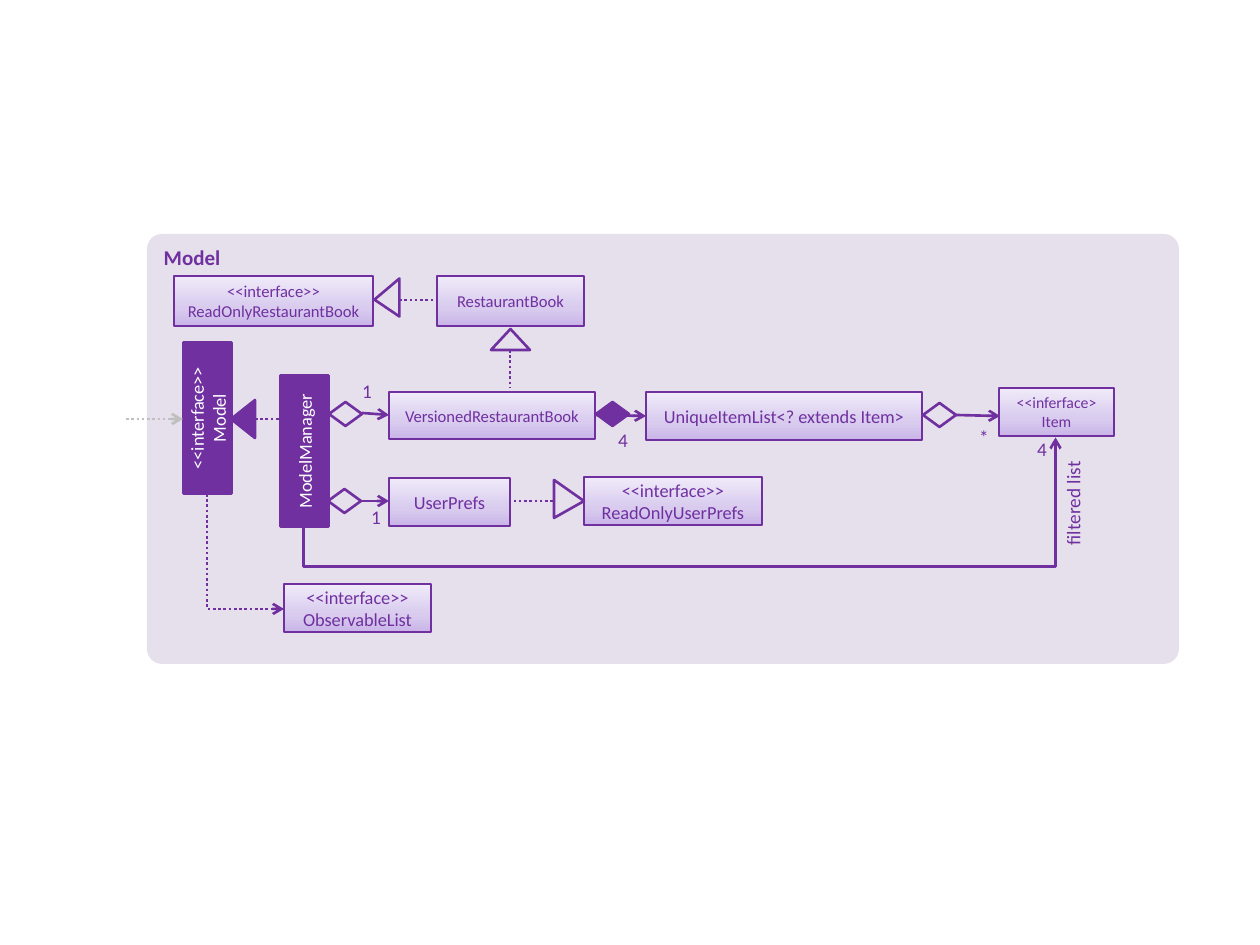
from copy import deepcopy
from dataclasses import dataclass

from lxml import etree
from pptx import Presentation
from pptx import util as u
from pptx.dml.color import RGBColor
from pptx.enum import dml, shapes, text
from pptx.oxml.ns import qn

SCALE = 914400 / 126
KIND = shapes.MSO_SHAPE
LINK = shapes.MSO_CONNECTOR
ALIGN = text.PP_ALIGN
MID = text.MSO_ANCHOR.MIDDLE
TIGHT = dict(margin_left=0, margin_right=0, margin_top=0, margin_bottom=0)


@dataclass(frozen=True)
class Theme:
    """Colours and type sizes of the diagram."""
    font: str = "Calibri"
    ink: str = "7030A0"
    panel: str = "E6E0EC"
    white: str = "FFFFFF"
    grey: str = "BFBFBF"
    fade: tuple = ((0, "C9B5E8"), (0.35, "D8CBEE"), (1, "F0EAF9"))
    line: float = 1.5
    title: float = 12
    label: float = 11
    body: float = 10.5
    small: float = 9.5
    tiny: float = 9


T = Theme()


def px(*vals):
    """Turn pixels into EMU."""
    return [u.Emu(round(v * SCALE)) for v in vals]


def rgb(code):
    """Give a colour from its hex code."""
    return RGBColor.from_string(code)


def put(item, vals):
    """Set each format value on an item."""
    for key, val in vals.items():
        setattr(item, key, val)


def write(shape, words, size, color=T.ink, align=ALIGN.CENTER, bold=False, **frame):
    """Write styled text into a shape."""
    tf = shape.text_frame
    put(tf, dict(word_wrap=True, **frame))
    tf.text = words
    for para in tf.paragraphs:
        para.alignment = align
        for run in para.runs:
            put(run.font, dict(name=T.font, size=u.Pt(size), bold=bold))
            run.font.color.rgb = rgb(color)


def stroke(line, color=T.ink):
    """Give a line its colour and width."""
    line.color.rgb = rgb(color)
    line.width = u.Pt(T.line)


def form(slide, kind, box, fill=None, edge=True, rot=0, adj=None):
    """Add a preset shape with a plain fill or none."""
    shape = slide.shapes.add_shape(kind, *px(*box))
    shape.shadow.inherit = False
    shape.rotation = rot
    if adj is not None:
        shape.adjustments[0] = adj
    if fill:
        shape.fill.solid()
        shape.fill.fore_color.rgb = rgb(fill)
    else:
        shape.fill.background()
    if edge:
        stroke(shape.line)
    else:
        shape.line.fill.background()
    return shape


def shade(shape):
    """Fill a shape with the three-stop fade, dark at the foot."""
    shape.fill.gradient()
    shape.fill.gradient_angle = 90
    stops = shape._element.spPr.find(".//" + qn("a:gsLst"))
    stops.append(deepcopy(stops[0]))
    for stop, (pos, code) in zip(shape.fill.gradient_stops, T.fade):
        stop.position = pos
        stop.color.rgb = rgb(code)


def node(slide, words, box, size=T.body):
    """Add a shaded class box."""
    shape = form(slide, KIND.RECTANGLE, box)
    shade(shape)
    write(shape, words, size, vertical_anchor=MID, **TIGHT)


def tower(slide, words, box):
    """Add a dark class box turned upright."""
    shape = form(slide, KIND.RECTANGLE, box, T.ink, rot=270)
    write(shape, words, T.body, T.white, vertical_anchor=MID, **TIGHT)


def label(slide, words, box, rot=0, align=ALIGN.CENTER, **frame):
    """Add a free label."""
    shape = slide.shapes.add_textbox(*px(*box))
    shape.rotation = rot
    write(shape, words, T.label, align=align, **frame)


def link(slide, ends, arrow=True, dots=False, color=T.ink, kind=LINK.STRAIGHT):
    """Add a connector, with an open arrowhead or dots if asked."""
    wire = slide.shapes.add_connector(kind, *px(*ends))
    stroke(wire.line, color)
    if dots:
        wire.line.dash_style = dml.MSO_LINE.ROUND_DOT
    props = wire._element.spPr
    if arrow:
        etree.SubElement(props.find(qn("a:ln")), qn("a:tailEnd"), type="arrow")
    etree.SubElement(props, qn("a:effectLst"))
    return wire


def bend(slide, ends, rot, preset, adj=None, dots=False):
    """Add a turned elbow arrow; ends are those before turning."""
    wire = link(slide, ends, dots=dots, kind=LINK.ELBOW)
    props = wire._element.spPr
    props.find(qn("a:xfrm")).set("rot", str(rot * 60000))
    geom = props.find(qn("a:prstGeom"))
    geom.set("prst", preset)
    if adj is not None:
        guides = geom.find(qn("a:avLst"))
        if guides is None:
            guides = etree.SubElement(geom, qn("a:avLst"))
        etree.SubElement(guides, qn("a:gd"), name="adj1", fmla=f"val {adj}")


def main():
    """Build the class diagram of the model."""
    deck = Presentation()
    deck.slide_width, deck.slide_height = px(1260, 945)
    slide = deck.slides.add_slide(deck.slide_layouts[6])

    panel = form(slide, KIND.ROUNDED_RECTANGLE, (147, 234, 1032, 430),
                 T.panel, edge=False, adj=0.035)
    write(panel, "Model", T.title, align=ALIGN.LEFT, bold=True,
          vertical_anchor=text.MSO_ANCHOR.TOP)

    for words, box, size in (
        ("<<interface>>\vReadOnlyRestaurantBook", (174, 276, 199, 50), T.small),
        ("RestaurantBook", (437, 276, 147, 50), T.small),
        ("VersionedRestaurantBook", (389, 392, 206, 47), T.small),
        ("UniqueItemList<? extends Item>", (646, 392, 276, 48), T.body),
        ("<<inferface>\nItem", (999, 388, 115, 48), T.tiny),
        ("UserPrefs", (389, 478, 121, 48), T.body),
        ("<<interface>>\nReadOnlyUserPrefs", (584, 477, 178, 48), T.body),
        ("<<interface>>\vObservableList", (284, 584, 147, 48), T.body),
    ):
        node(slide, words, box, size)
    tower(slide, "ModelManager", (229, 427, 151, 48))
    tower(slide, "<<interface>>\nModel", (132, 394, 151, 48))

    for left, top, fill in ((328, 489, None), (329, 402, None),
                            (596, 402, T.ink), (923, 403, None)):
        form(slide, KIND.FLOWCHART_DECISION, (left, top, 33, 24), fill)
    for box, rot, adj, fill in (
        ((224, 407, 38, 24), 270, 0.5, T.ink),
        ((491, 329, 39, 21), 0, 0.5, T.panel),
        ((368, 285, 38, 25), 270, 0.445, T.panel),
        ((550, 484, 38, 30), 90, 0.555, T.panel),
    ):
        form(slide, KIND.ISOSCELES_TRIANGLE, box, fill, rot=rot, adj=adj)

    for ends in ((359, 501, 389, 501), (362, 413, 389, 415),
                 (596, 415, 646, 416), (955, 415, 1000, 416)):
        link(slide, ends)
    for ends in ((255, 419, 285, 419), (510, 350, 510, 388),
                 (399, 300, 437, 300), (553, 501, 510, 501)):
        link(slide, ends, arrow=False, dots=True)
    link(slide, (126, 419, 183, 419), dots=True, color=T.grey)
    bend(slide, (724, 858, 635, 106), 90, "bentConnector3", adj=-44900)
    bend(slide, (303, 513, 188, 590), 270, "bentConnector2", dots=True)

    for words, left, top in (("4", 610, 428), ("*", 971, 425), ("1", 354, 379),
                             ("1", 363, 505), ("4", 1029, 437)):
        label(slide, words, (left, top, 26, 25), **TIGHT)
    label(slide, "filtered list", (1013, 491, 121, 37), 270, ALIGN.RIGHT)

    deck.save("out.pptx")


main()
